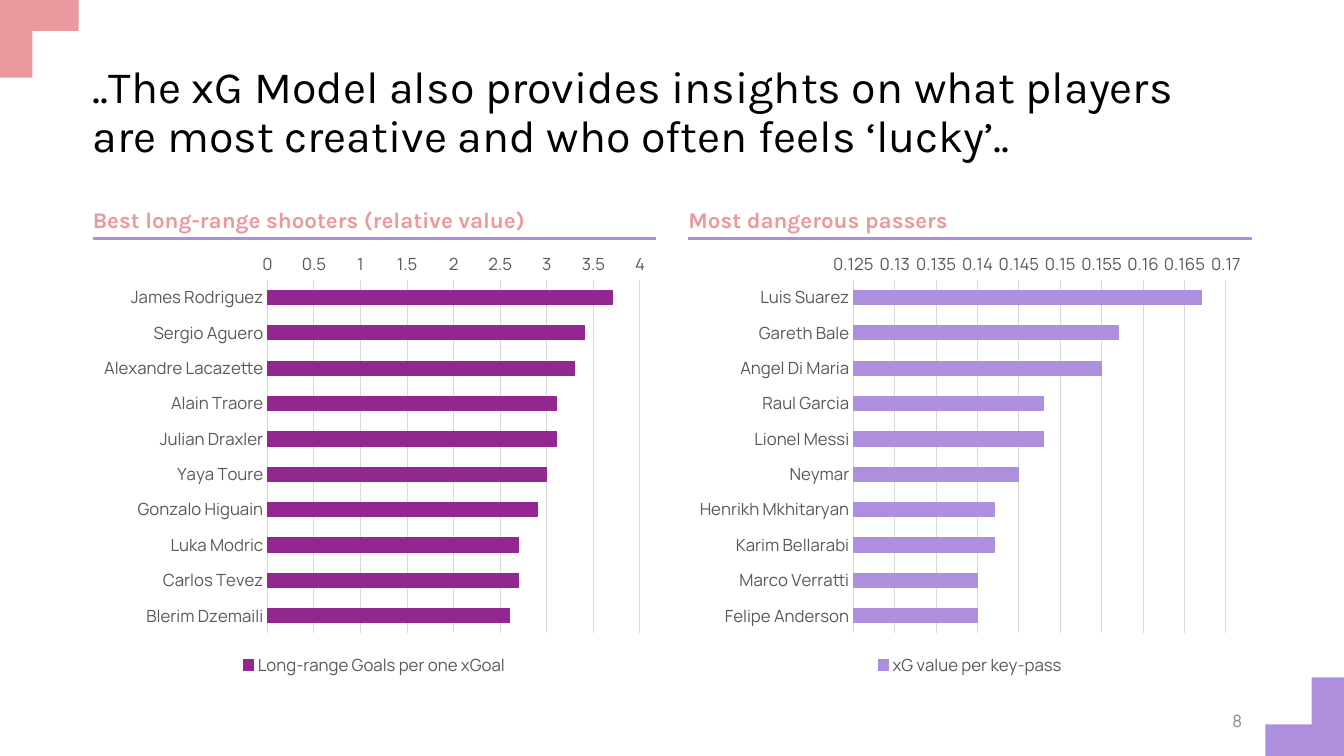
from lxml import etree
from pptx import Presentation
from pptx import util as u
from pptx.chart.data import CategoryChartData
from pptx.dml.color import RGBColor
from pptx.enum import chart as ch, shapes, text
from pptx.oxml.ns import qn

COLORS = {
    "pink": "EA999F", "lilac": "AE8FDD", "purple": "92278F", "black": "000000",
    "label": "595959", "number": "8C8C8C", "grid": "D9D9D9",
}
HEADLINE = ("..The xG Model also provides insights on what players "
            "are most creative and who often feels ‘lucky’..")
PAGE_NUMBER = "8"
PANELS = [
    {
        "heading": "Best long-range shooters (relative value)",
        "measure": "Long-range Goals per one xGoal",
        "color": "purple",
        "scale": (0, 4, 0.5),
        "players": [
            ("James Rodriguez", 3.7), ("Sergio Aguero", 3.4),
            ("Alexandre Lacazette", 3.3), ("Alain Traore", 3.1),
            ("Julian Draxler", 3.1), ("Yaya Toure", 3.0),
            ("Gonzalo Higuain", 2.9), ("Luka Modric", 2.7),
            ("Carlos Tevez", 2.7), ("Blerim Dzemaili", 2.6),
        ],
    },
    {
        "heading": "Most dangerous passers",
        "measure": "xG value per key-pass",
        "color": "lilac",
        "scale": (0.125, 0.17, 0.005),
        "players": [
            ("Luis Suarez", 0.167), ("Gareth Bale", 0.157),
            ("Angel Di Maria", 0.155), ("Raul Garcia", 0.148),
            ("Lionel Messi", 0.148), ("Neymar", 0.145),
            ("Henrikh Mkhitaryan", 0.142), ("Karim Bellarabi", 0.142),
            ("Marco Verratti", 0.14), ("Felipe Anderson", 0.14),
        ],
    },
]

SLIDE_W, SLIDE_H = 33.87, 19.05
MARGIN = 2.34
PANEL_W, PANEL_STEP = 14.2, 15.01
RULE_Y = 6.02
CORNER = 1.98
CORNERS = [
    (0, -0.02, 90, "pink"),
    (SLIDE_W - CORNER, SLIDE_H - CORNER, 270, "lilac"),
]

prs = Presentation()
prs.slide_width, prs.slide_height = u.Cm(SLIDE_W), u.Cm(SLIDE_H)
slide = prs.slides.add_slide(prs.slide_layouts[6])


def rgb(name):
    return RGBColor.from_string(COLORS[name])


def style_line(line, color, width=0.75):
    line.color.rgb = rgb(color)
    line.width = u.Pt(width)


def style_font(font, size, color, face="Manrope", bold=False):
    font.size, font.name, font.bold = u.Pt(size), face, bold
    font.color.rgb = rgb(color)


def add_text(words, box, *, size, color, face="Manrope", bold=False,
             anchor=text.MSO_ANCHOR.MIDDLE, align=text.PP_ALIGN.LEFT,
             insets=(0.25, 0.13, 0.25, 0.13), spacing=1.0):
    """Box and insets are in cm; insets run left, top, right, bottom."""
    frame = slide.shapes.add_textbox(*map(u.Cm, box)).text_frame
    frame.word_wrap = True
    frame.vertical_anchor = anchor
    (frame.margin_left, frame.margin_top,
     frame.margin_right, frame.margin_bottom) = map(u.Cm, insets)
    paragraph = frame.paragraphs[0]
    paragraph.alignment, paragraph.line_spacing = align, spacing
    run = paragraph.add_run()
    run.text = words
    style_font(run.font, size, color, face, bold)


def add_corner(left, top, rotation, color):
    corner = slide.shapes.add_shape(
        shapes.MSO_SHAPE.from_xml("corner"),
        *map(u.Cm, (left, top, CORNER, CORNER)))
    corner.adjustments[0], corner.adjustments[1] = 0.413, 0.404
    corner.rotation = rotation
    corner.shadow.inherit = False
    corner.fill.solid()
    corner.fill.fore_color.rgb = rgb(color)
    corner.line.fill.background()


def add_rule(left):
    rule = slide.shapes.add_connector(
        shapes.MSO_CONNECTOR.STRAIGHT,
        *map(u.Cm, (left, RULE_Y, left + PANEL_W, RULE_Y)))
    style_line(rule.line, "lilac", 2.25)
    etree.SubElement(rule.element.spPr, qn("a:effectLst"))


def add_ranking(panel, left):
    data = CategoryChartData()
    data.categories = [player for player, _ in panel["players"]]
    data.add_series(panel["measure"], [value for _, value in panel["players"]])
    ranking = slide.shapes.add_chart(
        ch.XL_CHART_TYPE.BAR_STACKED,
        *map(u.Cm, (left, 6.15, PANEL_W, 11)), data).chart
    style_font(ranking.font, 10, "black")
    ranking.has_title = False
    ranking.has_legend = True
    ranking.legend.position = ch.XL_LEGEND_POSITION.BOTTOM
    ranking.legend.include_in_layout = False
    style_font(ranking.legend.font, 12, "label")

    names, values = ranking.category_axis, ranking.value_axis
    for axis in (names, values):
        axis.major_tick_mark = axis.minor_tick_mark = ch.XL_TICK_MARK.NONE
        style_font(axis.tick_labels.font, 12, "label")
    names.reverse_order = True
    style_line(names.format.line, "grid")
    values.minimum_scale, values.maximum_scale, values.major_unit = panel["scale"]
    values.format.line.fill.background()
    values.has_major_gridlines = True
    style_line(values.major_gridlines.format.line, "grid")

    plot = ranking.plots[0]
    plot.gap_width, plot.overlap, plot.vary_by_categories = 150, 100, False
    bars = plot.series[0].format
    bars.fill.solid()
    bars.fill.fore_color.rgb = rgb(panel["color"])
    style_line(bars.line, panel["color"])


for corner_place in CORNERS:
    add_corner(*corner_place)
add_text(HEADLINE, (MARGIN, 1.02, 29.21, 3.68), size=32, color="black",
         face="Karla", insets=(0, 0.1, 0.1, 0.1), spacing=0.9)
add_text(PAGE_NUMBER, (23.93, 17.65, 7.62, 1.02), size=12, color="number",
         align=text.PP_ALIGN.RIGHT)
for column, panel in enumerate(PANELS):
    left = MARGIN + column * PANEL_STEP
    add_rule(left)
    add_text(panel["heading"], (left, 5.08, PANEL_W, 0.79), size=16,
             color="pink", face="Karla", bold=True,
             anchor=text.MSO_ANCHOR.BOTTOM, insets=(0, 0, 0.2, 0))
    add_ranking(panel, left)

prs.save("out.pptx")
